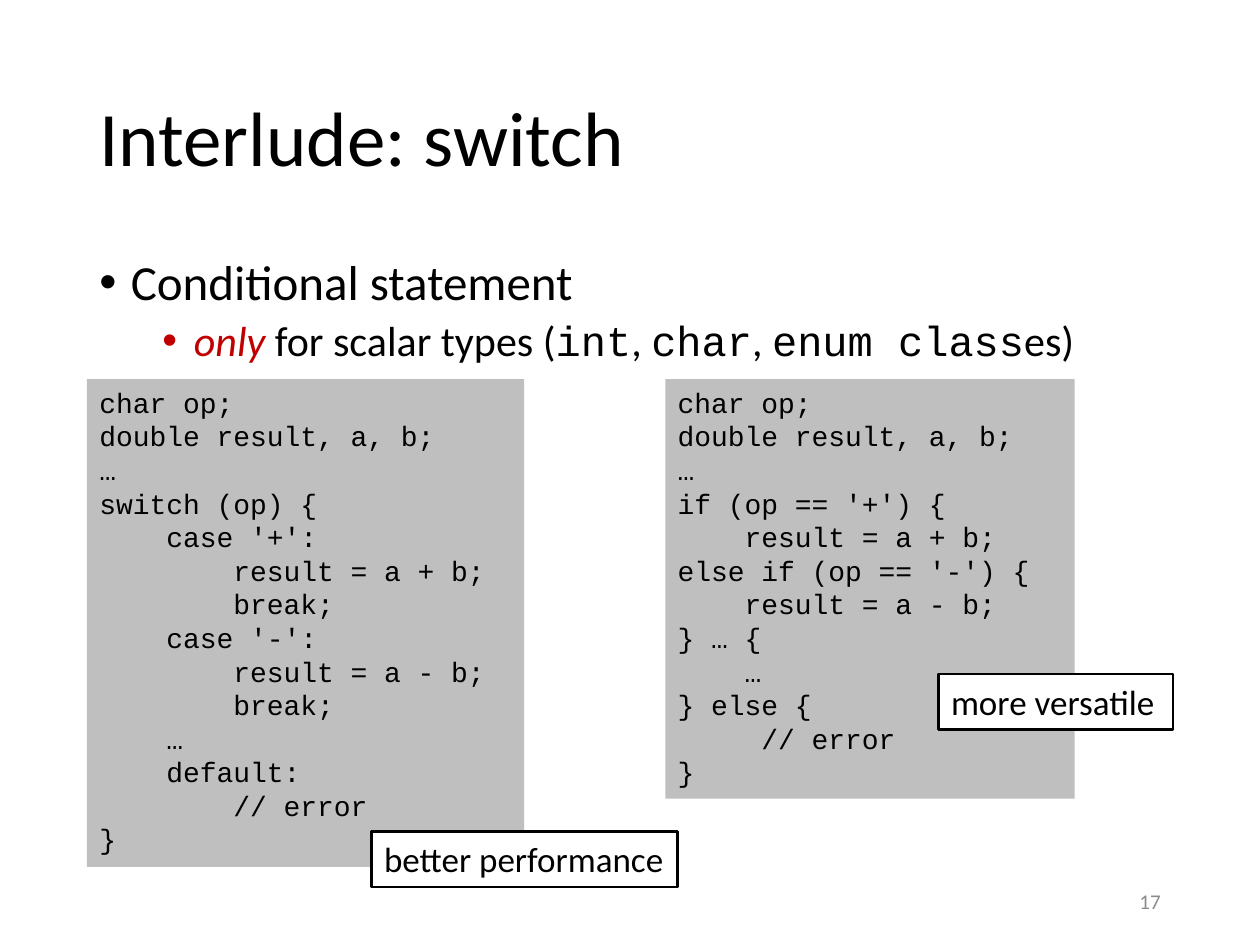
from dataclasses import dataclass

from lxml import etree
from pptx import Presentation
from pptx import util as u
from pptx.dml.color import RGBColor
from pptx.enum import shapes, text
from pptx.oxml.ns import qn

COLORS = {"ink": "000000", "accent": "C00000", "code": "BFBFBF",
          "paper": "FFFFFF", "muted": "8C8C8C"}
SANS, MONO = "Calibri", "Courier New"
MARGIN, CONTENT_WIDTH = 0.69, 8.62
RIGHT_EDGE = MARGIN + CONTENT_WIDTH
CODE_TOP = 3.01


@dataclass
class Area:
    left: float
    top: float
    width: float
    height: float

    def emu(self) -> list[int]:
        return [u.Inches(v) for v in (self.left, self.top, self.width, self.height)]


@dataclass
class Style:
    size: float
    font: str = SANS
    color: str = "ink"
    italic: bool = False


@dataclass
class Panel:
    area: Area
    content: str
    style: Style
    fill: str
    line: str | None = None


@dataclass
class Bullet:
    pieces: list[tuple[str, Style]]
    indent: float
    level: int
    space_before: float


SWITCH_CODE = """char op;
double result, a, b;
…
switch (op) {
    case '+':
        result = a + b;
        break;
    case '-':
        result = a - b;
        break;
    …
    default:
        // error
}"""

IF_CODE = """char op;
double result, a, b;
…
if (op == '+') {
    result = a + b;
else if (op == '-') {
    result = a - b;
} … {
    …
} else {
     // error
}"""


def rgb(name: str) -> RGBColor:
    return RGBColor.from_string(COLORS[name])


def style_run(run, style: Style) -> None:
    run.font.size = u.Pt(style.size)
    run.font.name = style.font
    run.font.italic = style.italic
    run.font.color.rgb = rgb(style.color)


def style_frame(frame, style: Style) -> None:
    for paragraph in frame.paragraphs:
        for run in paragraph.runs:
            style_run(run, style)


def add_text(slide, area: Area, content: str, style: Style,
             anchor=text.MSO_ANCHOR.TOP):
    frame = slide.shapes.add_textbox(*area.emu()).text_frame
    frame.word_wrap = True
    frame.vertical_anchor = anchor
    frame.text = content
    style_frame(frame, style)
    return frame


def add_bullet(paragraph, bullet: Bullet) -> None:
    paragraph.level = bullet.level
    paragraph.line_spacing = 0.9
    paragraph.space_before = u.Pt(bullet.space_before)
    for words, style in bullet.pieces:
        run = paragraph.add_run()
        run.text = words
        style_run(run, style)
    props = paragraph._p.get_or_add_pPr()
    props.set("marL", str(u.Inches(bullet.indent)))
    props.set("indent", str(u.Inches(-0.25)))
    etree.SubElement(props, qn("a:buFont")).set("typeface", "Arial")
    etree.SubElement(props, qn("a:buChar")).set("char", "•")


def add_panel(slide, panel: Panel) -> None:
    box = slide.shapes.add_shape(shapes.MSO_SHAPE.RECTANGLE, *panel.area.emu())
    box.shadow.inherit = False
    box.fill.solid()
    box.fill.fore_color.rgb = rgb(panel.fill)
    if panel.line:
        box.line.color.rgb = rgb(panel.line)
        box.line.width = u.Pt(1.5)
    else:
        box.line.fill.background()
    frame = box.text_frame
    frame.word_wrap = True
    frame.auto_size = text.MSO_AUTO_SIZE.SHAPE_TO_FIT_TEXT
    frame.vertical_anchor = text.MSO_ANCHOR.TOP
    frame.text = panel.content
    for paragraph in frame.paragraphs:
        paragraph.alignment = text.PP_ALIGN.LEFT
    style_frame(frame, panel.style)


deck = Presentation()
deck.slide_width, deck.slide_height = u.Inches(10), u.Inches(7.5)
slide = deck.slides.add_slide(deck.slide_layouts[6])

# Title
title = add_text(slide, Area(MARGIN, 0.4, CONTENT_WIDTH, 1.45),
                 "Interlude: switch", Style(44), text.MSO_ANCHOR.MIDDLE)
title.paragraphs[0].line_spacing = 0.9

# Bullets
plain, typed = Style(24), Style(24, MONO)
bullets = [
    Bullet([("Conditional statement", Style(28))], 0.25, 0, 10),
    Bullet([("only ", Style(24, color="accent", italic=True)),
            ("for scalar types (", plain), ("int", typed), (", ", plain),
            ("char", typed), (", ", plain), ("enum class", typed),
            ("es)", plain)], 0.75, 1, 5),
]
body = add_text(slide, Area(MARGIN, 2, CONTENT_WIDTH, 4.76), "", plain)
for index, bullet in enumerate(bullets):
    add_bullet(body.add_paragraph() if index else body.paragraphs[0], bullet)

# Slide number
number = add_text(slide, Area(RIGHT_EDGE - 2.25, 6.95, 2.25, 0.4), "17",
                  Style(12, color="muted"), text.MSO_ANCHOR.MIDDLE)
number.paragraphs[0].alignment = text.PP_ALIGN.RIGHT

# Code listings and the verdict on each
code, verdict = Style(16, MONO), Style(20)
panels = [
    Panel(Area(MARGIN, CODE_TOP, 3.47, 3.87), SWITCH_CODE, code, "code"),
    Panel(Area(5.28, CODE_TOP, 3.25, 3.33), IF_CODE, code, "code"),
    Panel(Area(2.95, 6.6, 2.43, 0.44), "better performance", verdict,
          "paper", "ink"),
    Panel(Area(RIGHT_EDGE - 1.86, 5.35, 1.86, 0.44), "more versatile", verdict,
          "paper", "ink"),
]
for panel in panels:
    add_panel(slide, panel)

deck.save("out.pptx")
